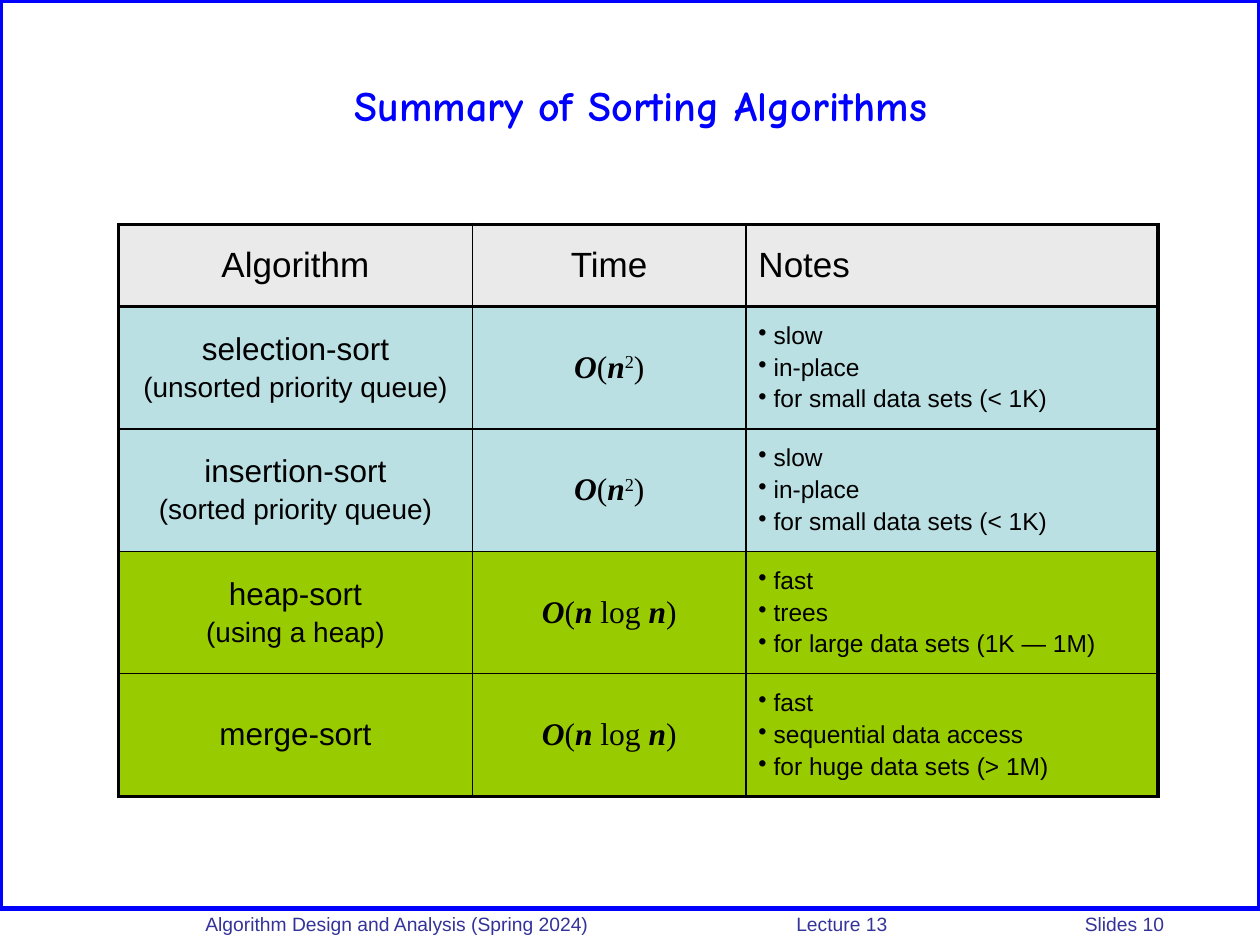
from lxml import etree
from pptx import Presentation
from pptx.dml.color import RGBColor
from pptx.enum.shapes import MSO_SHAPE
from pptx.enum.text import MSO_ANCHOR, PP_ALIGN
from pptx.oxml.ns import qn
from pptx.util import Inches, Pt

CENTER, LEFT = PP_ALIGN.CENTER, PP_ALIGN.LEFT
MIDDLE = MSO_ANCHOR.MIDDLE
RECTANGLE = MSO_SHAPE.RECTANGLE

BLUE = RGBColor(0x00, 0x00, 0xFF)
NAVY = RGBColor(0x33, 0x33, 0x99)
BLACK = RGBColor(0x00, 0x00, 0x00)
HEADER_GRAY = RGBColor(0xEA, 0xEA, 0xEA)
SLOW_TEAL = RGBColor(0xBB, 0xE0, 0xE3)
FAST_GREEN = RGBColor(0x99, 0xCC, 0x00)

SANS, SERIF, HAND = "Arial", "Times New Roman", "Comic Neue"
THICK, THIN = Pt(2.25), Pt(1)
HANGING = Inches(0.12)

# Formula parts: text and style
VARIABLE, PLAIN, POWER = "variable", "plain", "power"
QUADRATIC = [("O", VARIABLE), ("(", PLAIN), ("n", VARIABLE), ("2", POWER), (")", PLAIN)]
N_LOG_N = [("O", VARIABLE), ("(", PLAIN), ("n", VARIABLE), (" log ", PLAIN),
           ("n", VARIABLE), (")", PLAIN)]

HEADINGS = ["Algorithm", "Time", "Notes"]
SMALL_SETS = ["slow", "in-place", "for small data sets (< 1K)"]
SORTS = [
    (["selection-sort", "(unsorted priority queue)"], QUADRATIC, SMALL_SETS, SLOW_TEAL),
    (["insertion-sort", "(sorted priority queue)"], QUADRATIC, SMALL_SETS, SLOW_TEAL),
    (["heap-sort", "(using a heap)"], N_LOG_N,
     ["fast", "trees", "for large data sets (1K — 1M)"], FAST_GREEN),
    (["merge-sort"], N_LOG_N,
     ["fast", "sequential data access", "for huge data sets (> 1M)"], FAST_GREEN),
]
COLUMN_WIDTHS = [2.81, 2.17, 3.27]
ROW_HEIGHTS = [0.65] + [0.97] * len(SORTS)


def style_font(font, name, size, color=BLACK, bold=False):
    font.name, font.size, font.bold = name, Pt(size), bold
    font.color.rgb = color


def add_bullet(paragraph):
    properties = paragraph._p.get_or_add_pPr()
    properties.set("marL", str(HANGING))
    properties.set("indent", str(-HANGING))
    etree.SubElement(properties, qn("a:buChar"), char="•")


def write_lines(cell, lines, sizes, align=CENTER, bulleted=False):
    cell.text_frame.text = "\n".join(lines)
    for index, (paragraph, size) in enumerate(zip(cell.text_frame.paragraphs, sizes)):
        paragraph.alignment = align
        if index:
            paragraph.space_before = Pt(round(size * 0.18, 1))
        if bulleted:
            add_bullet(paragraph)
        style_font(paragraph.runs[0].font, SANS, size)


def write_formula(cell, parts):
    paragraph = cell.text_frame.paragraphs[0]
    paragraph.alignment = CENTER
    for text, style in parts:
        run = paragraph.add_run()
        run.text = text
        style_font(run.font, SERIF, 18, bold=style == VARIABLE)
        run.font.italic = style == VARIABLE
        if style == POWER:
            run._r.get_or_add_rPr().set("baseline", "30000")


def set_borders(cell, widths):
    """Draw the left, right, top and bottom borders, in that order."""
    properties = cell._tc.get_or_add_tcPr()
    for index, (side, width) in enumerate(zip("LRTB", widths)):
        line = etree.Element(qn(f"a:ln{side}"), w=str(width))
        fill = etree.SubElement(line, qn("a:solidFill"))
        etree.SubElement(fill, qn("a:srgbClr"), val=str(BLACK))
        properties.insert(index, line)


def format_grid(table, row_fills):
    last_row, last_column = len(table.rows) - 1, len(table.columns) - 1
    for r, fill in enumerate(row_fills):
        for c in range(last_column + 1):
            cell = table.cell(r, c)
            cell.vertical_anchor = MIDDLE
            cell.fill.solid()
            cell.fill.fore_color.rgb = fill
            heavy = (c == 0, c == last_column, r in (0, 1), r in (0, last_row))
            set_borders(cell, [THICK if edge else THIN for edge in heavy])


def add_sorting_table(slide, left, top, width, height):
    table = slide.shapes.add_table(len(ROW_HEIGHTS), len(COLUMN_WIDTHS),
                                   left, top, width, height).table
    table.first_row = table.horz_banding = False
    for column, share in zip(table.columns, COLUMN_WIDTHS):
        column.width = int(width * share / sum(COLUMN_WIDTHS))
    for row, share in zip(table.rows, ROW_HEIGHTS):
        row.height = int(height * share / sum(ROW_HEIGHTS))

    for c, (heading, align) in enumerate(zip(HEADINGS, (CENTER, CENTER, LEFT))):
        write_lines(table.cell(0, c), [heading], [20], align)
    for r, (algorithm, time, notes, _) in enumerate(SORTS, start=1):
        write_lines(table.cell(r, 0), algorithm, [18, 16])
        write_formula(table.cell(r, 1), time)
        write_lines(table.cell(r, 2), notes, [14] * len(notes), LEFT, bulleted=True)
    format_grid(table, [HEADER_GRAY] + [sort[-1] for sort in SORTS])


def add_frame(slide, left, top, width, height):
    frame = slide.shapes.add_shape(RECTANGLE, left, top, width, height)
    frame.shadow.inherit = False
    frame.fill.background()
    frame.line.color.rgb = BLUE
    frame.line.width = Pt(3)


def place_title(slide, left, top, width, height):
    title = slide.shapes.title
    title.left, title.top, title.width, title.height = left, top, width, height
    title.text_frame.text = "Summary of Sorting Algorithms"
    title.text_frame.vertical_anchor = MIDDLE
    paragraph = title.text_frame.paragraphs[0]
    paragraph.alignment = CENTER
    style_font(paragraph.runs[0].font, HAND, 24, BLUE, bold=True)


def add_footer(slide, left, top, width, height):
    frame = slide.shapes.add_textbox(left, top, width, height).text_frame
    frame.word_wrap = True
    frame.vertical_anchor = MIDDLE
    frame.margin_left = Inches(0.3)
    frame.margin_top = frame.margin_bottom = 0
    frame.text = "Algorithm Design and Analysis (Spring 2024)\tLecture 13\tSlides 10"
    paragraph = frame.paragraphs[0]
    tabs = etree.SubElement(paragraph._p.get_or_add_pPr(), qn("a:tabLst"))
    for position in (4.69, 6.98):
        etree.SubElement(tabs, qn("a:tab"), pos=str(Inches(position)), algn="l")
    for run in paragraph.runs:
        style_font(run.font, SANS, 11, NAVY)


def main():
    deck = Presentation()
    deck.slide_width, deck.slide_height = Inches(10), Inches(7.5)
    slide = deck.slides.add_slide(deck.slide_layouts[5])

    def box(left, top, width, height):
        """Turn percentages of the slide into lengths."""
        return [int(deck.slide_width * left / 100), int(deck.slide_height * top / 100),
                int(deck.slide_width * width / 100), int(deck.slide_height * height / 100)]

    add_frame(slide, *box(0, 0, 100, 96.13))
    add_footer(slide, *box(13.3, 96, 86.7, 3.47))
    place_title(slide, *box(6.7, 4.4, 88.3, 13.33))
    add_sorting_table(slide, *box(9.4, 23.73, 82.5, 60.53))
    deck.save("out.pptx")


if __name__ == "__main__":
    main()
